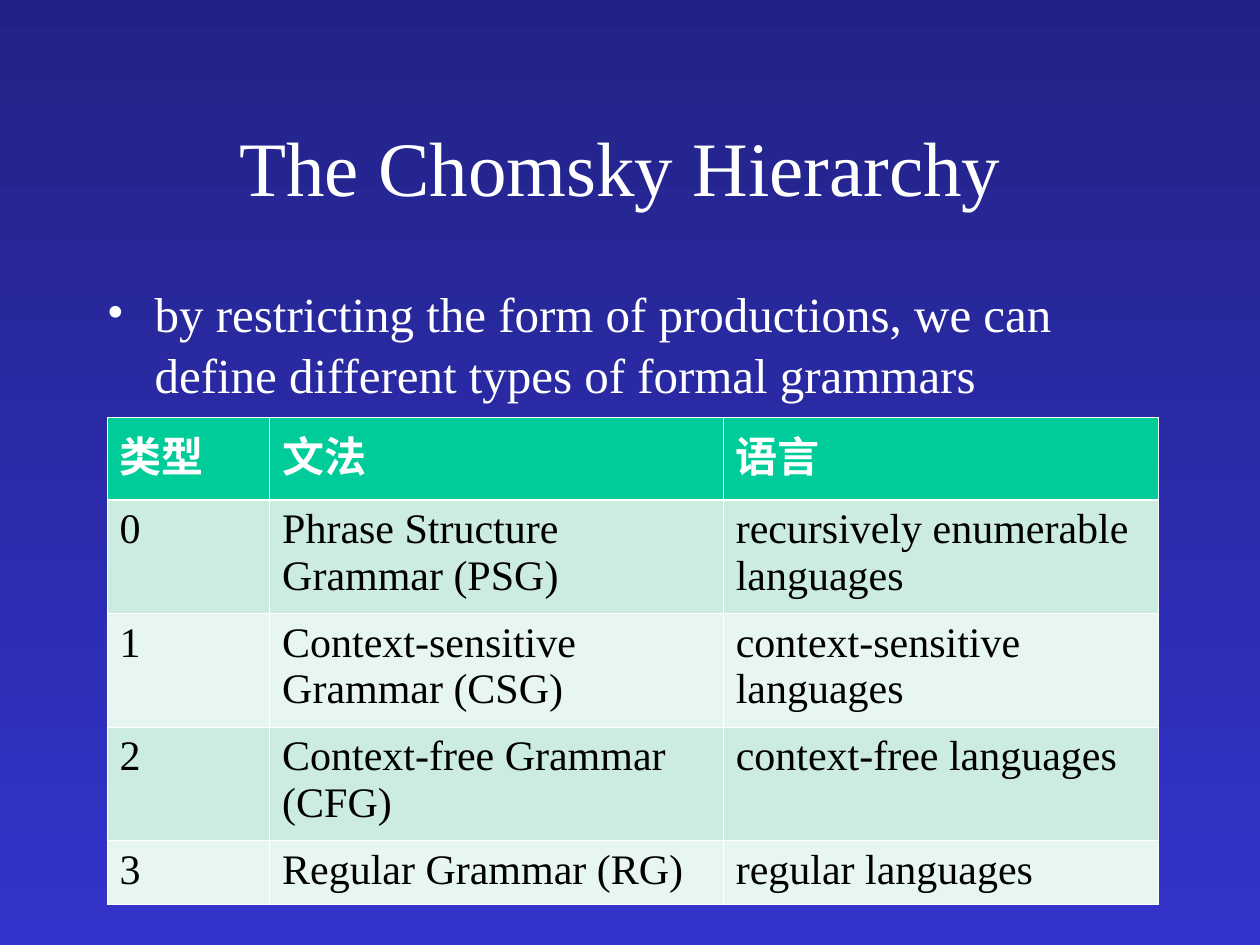
from pptx import Presentation
from pptx.dml.color import RGBColor
from pptx.enum.text import MSO_ANCHOR, PP_ALIGN
from pptx.oxml.xmlchemy import OxmlElement
from pptx.util import Inches, Pt

CENTER, LEFT = PP_ALIGN.CENTER, PP_ALIGN.LEFT
MIDDLE, TOP = MSO_ANCHOR.MIDDLE, MSO_ANCHOR.TOP
TITLE_ONLY = 5
WIDTH, HEIGHT = 10, 7.5
FONT = "Times New Roman"
COLORS = {
    "sky": "222286", "horizon": "3333CC", "white": "FFFFFF", "black": "000000",
    "header": "00CC99", "odd": "CBECDE", "even": "E7F6EF",
}
COLUMNS = [1.29, 3.6, 3.45]
ROWS = [0.66, 0.9, 0.9, 0.9, 0.51]
GRAMMARS = [
    ["类型", "文法", "语言"],
    ["0", "Phrase Structure Grammar (PSG)", "recursively enumerable languages"],
    ["1", "Context-sensitive Grammar (CSG)", "context-sensitive languages"],
    ["2", "Context-free Grammar (CFG)", "context-free languages"],
    ["3", "Regular Grammar (RG)", "regular languages"],
]


def color(name):
    return RGBColor.from_string(COLORS[name])


def add_child(parent, tag, **attributes):
    child = OxmlElement(tag)
    for name, value in attributes.items():
        child.set(name, str(value))
    parent.append(child)
    return child


class SlideBuilder:
    def __init__(self, deck):
        self.deck = deck
        self.page = deck.slides.add_slide(deck.slide_layouts[TITLE_ONLY])

    def place(self, left, top, width, height):
        """Turn shares of the slide into lengths."""
        across, down = self.deck.slide_width, self.deck.slide_height
        return [round(share * side) for share, side in
                zip((left, top, width, height), (across, down, across, down))]

    def background(self, start, end):
        fill = self.page.background.fill
        fill.gradient()
        fill.gradient_angle = 270
        for stop, name, position in zip(fill.gradient_stops, (start, end), (0, 1)):
            stop.color.rgb = color(name)
            stop.position = position

    def fill_text(self, frame, text, size, ink, bold=False, align=LEFT, anchor=TOP):
        frame.word_wrap = True
        frame.vertical_anchor = anchor
        para = frame.paragraphs[0]
        para.alignment = align
        span = para.add_run()
        span.text = text
        for name, value in {"name": FONT, "size": Pt(size), "bold": bold}.items():
            setattr(span.font, name, value)
        span.font.color.rgb = color(ink)
        return para

    def title(self, text, area):
        box = self.page.shapes.title
        box.left, box.top, box.width, box.height = self.place(*area)
        self.fill_text(box.text_frame, text, 44, "white", align=CENTER, anchor=MIDDLE)

    def bullet(self, text, area):
        box = self.page.shapes.add_textbox(*self.place(*area))
        para = self.fill_text(box.text_frame, text, 28, "white")
        para.line_spacing = 1.05
        properties = para._p.get_or_add_pPr()
        properties.set("marL", str(Inches(0.38)))
        properties.set("indent", str(-Inches(0.38)))
        tint = add_child(properties, "a:buClr")
        add_child(tint, "a:srgbClr", val=COLORS["white"])
        add_child(properties, "a:buFont", typeface=FONT)
        add_child(properties, "a:buChar", char="•")

    def borders(self, cell, widths):
        properties = cell._tc.get_or_add_tcPr()
        for index, (side, width) in enumerate(widths.items()):
            line = OxmlElement(f"a:ln{side}")
            line.set("w", str(Pt(width)))
            solid = add_child(line, "a:solidFill")
            add_child(solid, "a:srgbClr", val=COLORS["white"])
            properties.insert(index, line)  # borders come before the fill

    def table(self, values, columns, rows, area):
        frame = self.page.shapes.add_table(len(rows), len(columns), *self.place(*area))
        table = frame.table
        for column, width in zip(table.columns, columns):
            column.width = Inches(width)
        for index, (row, height) in enumerate(zip(table.rows, rows)):
            row.height = Inches(height)
            header = index == 0
            shade = "header" if header else ("even", "odd")[index % 2]
            widths = {"L": 0.45, "R": 0.45,
                      "T": 1.47 if index == 1 else 0.45,
                      "B": 1.47 if header else 0.45}
            for cell, text in zip(row.cells, values[index]):
                cell.fill.solid()
                cell.fill.fore_color.rgb = color(shade)
                self.borders(cell, widths)
                self.fill_text(cell.text_frame, text, 24,
                               "white" if header else "black", bold=header)


def main():
    deck = Presentation()
    deck.slide_width, deck.slide_height = Inches(WIDTH), Inches(HEIGHT)
    slide = SlideBuilder(deck)
    slide.background("sky", "horizon")

    # Heading and statement
    slide.title("The Chomsky Hierarchy ", (0.075, 0.09, 0.85, 0.17))
    slide.bullet("by restricting the form of productions, we can "
                 "define different types of formal grammars",
                 (0.075, 0.29, 0.85, 0.6))

    # Grammar types and their languages
    slide.table(GRAMMARS, COLUMNS, ROWS,
                (0.085, 3.31 / HEIGHT, sum(COLUMNS) / WIDTH, sum(ROWS) / HEIGHT))

    deck.save("out.pptx")


if __name__ == "__main__":
    main()
